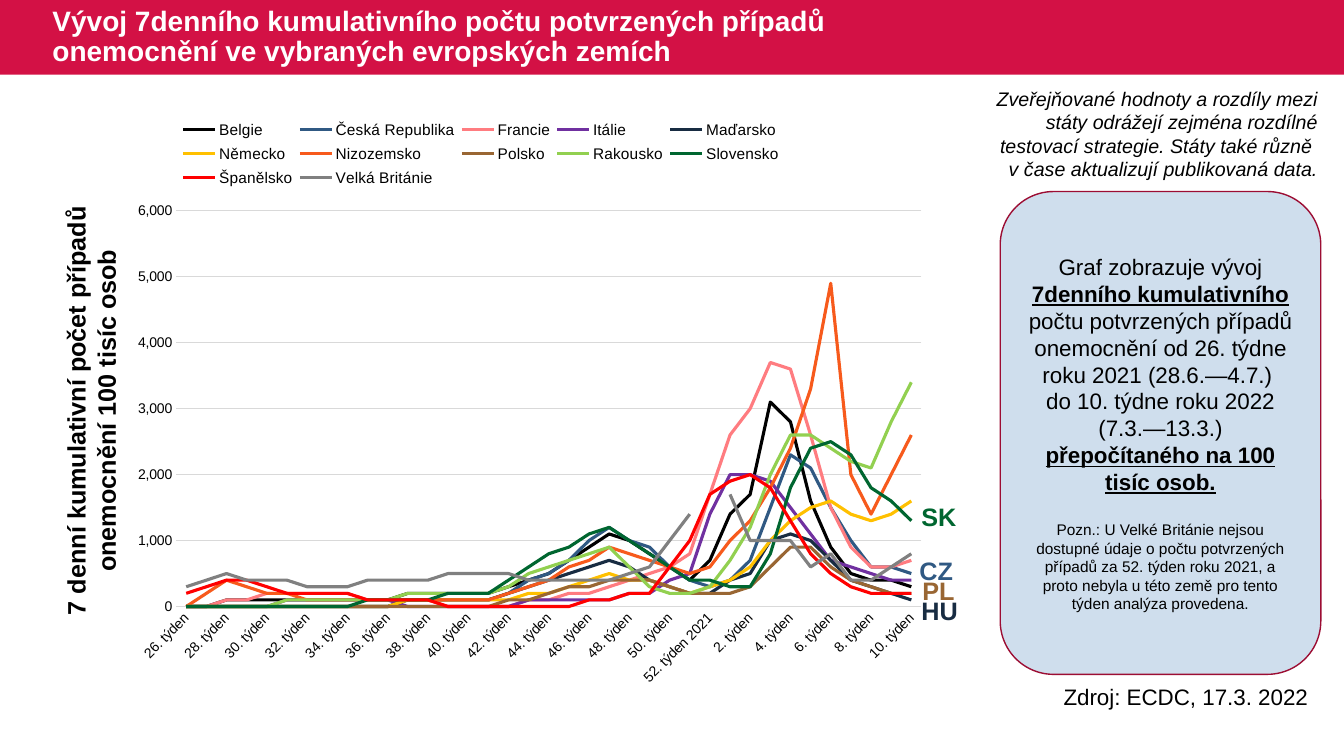
from itertools import pairwise
from lxml.etree import SubElement as Sub
from pptx import Presentation
from pptx.chart.data import CategoryChartData as Data
from pptx.dml.color import RGBColor as RGB
from pptx.enum.chart import XL_CHART_TYPE as Kind, XL_LEGEND_POSITION as Spot, XL_TICK_MARK as Tick
from pptx.enum.shapes import MSO_SHAPE as Form
from pptx.enum.text import MSO_ANCHOR as Anchor, MSO_AUTO_SIZE as Fit, PP_ALIGN as Align
from pptx.oxml.ns import qn
from pptx.util import Pt

BLACK, WHITE = RGB.from_string("000000"), RGB.from_string("FFFFFF")
CRIMSON, WINE = RGB.from_string("D31145"), RGB.from_string("9C0D33")
PALE, SILVER = RGB.from_string("CFDEED"), RGB.from_string("D9D9D9")
BLUE, PINK = RGB.from_string("305983"), RGB.from_string("FF7C80")
PURPLE, NAVY = RGB.from_string("7030A0"), RGB.from_string("182C42")
GOLD, ORANGE = RGB.from_string("FFC000"), RGB.from_string("F75A1C")
BROWN, LIME = RGB.from_string("996633"), RGB.from_string("92D050")
GREEN, RED = RGB.from_string("006630"), RGB.from_string("FF0000")
GREY = RGB.from_string("808080")

TITLE = "Vývoj 7denního kumulativního počtu potvrzených případů onemocnění ve vybraných evropských zemích"
AXIS = "7 denní kumulativní počet případů onemocnění 100 tisíc osob"
SOURCE = "Zdroj: ECDC, 17.3. 2022"
NOTE = [
    "Zveřejňované hodnoty a rozdíly mezi státy odrážejí zejména rozdílné testovací strategie. Státy také různě ",
    "v čase aktualizují publikovaná data.",
]
PANEL = [
    (16, 0, [
        ("Graf zobrazuje vývoj ", False),
        ("7denního kumulativního ", True),
        ("počtu potvrzených případů onemocnění od 26. týdne roku 2021 (28.6.—4.7.) ", False),
    ]),
    (16, 0, [
        ("do 10. týdne roku 2022 (7.3.—13.3.) ", False),
        ("přepočítaného na 100 tisíc osob.", True),
    ]),
    (11, 18, [
        ("Pozn.: U Velké Británie nejsou dostupné údaje o počtu potvrzených případů za 52. týden roku 2021, "
         "a proto nebyla u této země pro tento týden analýza provedena.", False),
    ]),
]
TAGS = [("SK", 904, 492, GREEN), ("HU", 904, 586, NAVY), ("PL", 905, 566, BROWN), ("CZ", 902, 546, BLUE)]

WEEKS = [f"{n}. týden" for n in range(26, 52)]
WEEKS += ["52. týden 2021", "1. týden 2022"]
WEEKS += [f"{n}. týden" for n in range(2, 11)]
UNIT = 100
KNOTS = [0, 2, 6, 15, 18, 21, 23, *range(25, 35), 36]
CASES = [
    ("Belgie", BLACK, [0, 1, 1, 2, 5, 11, 8, 4, 7, 14, 17, 31, 28, 16, 9, 5, 4, 3]),
    ("Česká Republika", BLUE, [0, 0, 0, 1, 5, 12, 9, 4, 3, 4, 7, 15, 23, 21, 15, 10, 6, 5]),
    ("Francie", PINK, [0, 1, 2, 0, 1, 3, 5, 8, 17, 26, 30, 37, 36, 26, 15, 9, 6, 7]),
    ("Itálie", PURPLE, [0, 0, 1, 0, 1, 1, 2, 5, 14, 20, 20, 19, 15, 11, 7, 6, 5, 4]),
    ("Maďarsko", NAVY, [0, 0, 0, 1, 4, 7, 4, 2, 2, 4, 5, 10, 11, 10, 7, 4, 3, 1]),
    ("Německo", GOLD, [0, 0, 0, 1, 2, 5, 4, 2, 3, 4, 6, 10, 13, 15, 16, 14, 13, 16]),
    ("Nizozemsko", ORANGE, [0, 4, 1, 1, 4, 9, 7, 5, 6, 10, 13, 18, 24, 33, 49, 20, 14, 26]),
    ("Polsko", BROWN, [0, 0, 0, 0, 2, 4, 4, 2, 2, 2, 3, 6, 9, 9, 6, 4, 3, 2]),
    ("Rakousko", LIME, [0, 0, 1, 2, 6, 9, 3, 2, 3, 7, 12, 20, 26, 26, 24, 22, 21, 34]),
    ("Slovensko", GREEN, [0, 0, 0, 2, 8, 12, 8, 4, 4, 3, 3, 8, 18, 24, 25, 23, 18, 13]),
    ("Španělsko", RED, [2, 4, 2, 0, 0, 1, 2, 10, 17, 19, 20, 18, 13, 8, 5, 3, 2, 2]),
    ("Velká Británie", GREY, [3, 5, 3, 5, 4, 4, 6, 14, None, 17, 10, 10, 10, 6, 8, 4, 4, 8]),
]

PX = 9144


def px(*sizes):
    return [n * PX for n in sizes]


def weekly(vals):
    out = [vals[0] * UNIT]
    for (a, u), (b, v) in pairwise(zip(KNOTS, vals)):
        for n in range(a + 1, b):
            out.append(round(u + (v - u) * (n - a) / (b - a)) * UNIT)
        out.append(None if v is None else v * UNIT)
    return out


def style(font, size, color=BLACK, bold=False, italic=False, under=False):
    font.name, font.size, font.color.rgb = "Arial", Pt(size), color
    font.bold, font.italic, font.underline = bold, italic, under


def put(para, text, *args, **opts):
    run = para.add_run()
    run.text = text
    style(run.font, *args, **opts)


def line(frame, i, align):
    para = frame.paragraphs[0] if i == 0 else frame.add_paragraph()
    para.alignment = align
    return para


def label(box, lines, size, color=BLACK, align=Align.LEFT, **opts):
    shape = slide.shapes.add_textbox(*px(*box))
    shape.text_frame.word_wrap = True
    for i, text in enumerate(lines):
        put(line(shape.text_frame, i, align), text, size, color, **opts)
    return shape


def block(form, box, fill, edge=None):
    shape = slide.shapes.add_shape(form, *px(*box))
    shape.shadow.inherit = False
    shape.fill.solid()
    shape.fill.fore_color.rgb = fill
    if edge is None:
        shape.line.fill.background()
    else:
        shape.line.color.rgb, shape.line.width = edge, Pt(1)
    return shape


def place(part, x, y, w, h, inner=False):
    for old in part.findall(qn("c:layout")):
        part.remove(old)
    lay = Sub(part, qn("c:layout"))
    man = Sub(lay, qn("c:manualLayout"))
    rows = [("layoutTarget", "inner")] if inner else []
    rows += [("xMode", "edge"), ("yMode", "edge"), ("x", x), ("y", y), ("w", w), ("h", h)]
    for tag, val in rows:
        Sub(man, qn("c:" + tag)).set("val", str(val))
    return lay


def draw():
    data = Data(number_format="#,##0")
    data.categories = WEEKS
    for name, _, vals in CASES:
        data.add_series(name, weekly(vals))
    chart = slide.shapes.add_chart(Kind.LINE, *px(116, 108, 840, 595), data).chart
    style(chart.font, 10)
    chart.has_title = False
    chart.has_legend = True
    key = chart.legend
    key.position, key.include_in_layout = Spot.TOP, False
    style(key.font, 11)
    spot = key._element.find(qn("c:legendPos"))
    spot.addnext(place(key._element, 0.07, 0.01, 0.72, 0.13))

    plot = chart.plots[0]
    plot.vary_by_categories = False
    for one, (_, color, _) in zip(plot.series, CASES):
        one.smooth = False
        one.format.line.color.rgb, one.format.line.width = color, Pt(2.25)
    area = chart._chartSpace.chart.plotArea
    area.insert(0, place(area, 0.07, 0.17, 0.88, 0.66, True))

    cat, val = chart.category_axis, chart.value_axis
    for axis in (cat, val):
        axis.major_tick_mark = axis.minor_tick_mark = Tick.NONE
        style(axis.tick_labels.font, 10)
    cat.has_major_gridlines = False
    val.has_major_gridlines = True
    for rule in (cat.format.line, val.major_gridlines.format.line):
        rule.color.rgb, rule.width = SILVER, Pt(0.75)
    val.format.line.fill.background()
    val.minimum_scale, val.maximum_scale, val.major_unit = 0, 6000, 1000
    val.tick_labels.number_format, val.tick_labels.number_format_is_linked = "#,##0", False
    body = cat._element.find(qn("c:txPr")).find(qn("a:bodyPr"))
    body.set("rot", "-2700000")
    body.set("vert", "horz")
    skip = Sub(cat._element, qn("c:tickLblSkip"))
    skip.set("val", "2")
    cat._element.find(qn("c:noMultiLvlLbl")).addprevious(skip)


deck = Presentation()
deck.slide_width, deck.slide_height = px(1333, 750)
slide = deck.slides.add_slide(deck.slide_layouts[5])

band = block(Form.RECTANGLE, (0, 0, 1333, 74), CRIMSON)
head = slide.shapes.title
band._element.addnext(head._element)
head.left, head.top, head.width, head.height = px(42, 0, 816, 74)
frame = head.text_frame
frame.auto_size, frame.word_wrap, frame.vertical_anchor = Fit.NONE, True, Anchor.MIDDLE
para = line(frame, 0, Align.LEFT)
para.line_spacing = 0.9
put(para, TITLE, 20, WHITE, bold=True)

label((1045, 673, 313, 37), [SOURCE], 16)
draw()
label((-154, 372, 489, 71), [AXIS], 18, align=Align.CENTER, bold=True).rotation = 270

frame = block(Form.ROUNDED_RECTANGLE, (992, 190, 318, 479), PALE, WINE).text_frame
frame.word_wrap, frame.vertical_anchor = True, Anchor.MIDDLE
for i, (size, gap, runs) in enumerate(PANEL):
    para = line(frame, i, Align.CENTER)
    if gap:
        para.space_before = Pt(gap)
    for text, strong in runs:
        put(para, text, size, bold=strong, under=strong)

label((969, 81, 348, 104), NOTE, 14, align=Align.RIGHT, italic=True)
for text, x, y, color in TAGS:
    label((x, y, 69, 40), [text], 18, color, bold=True)

deck.save("out.pptx")
